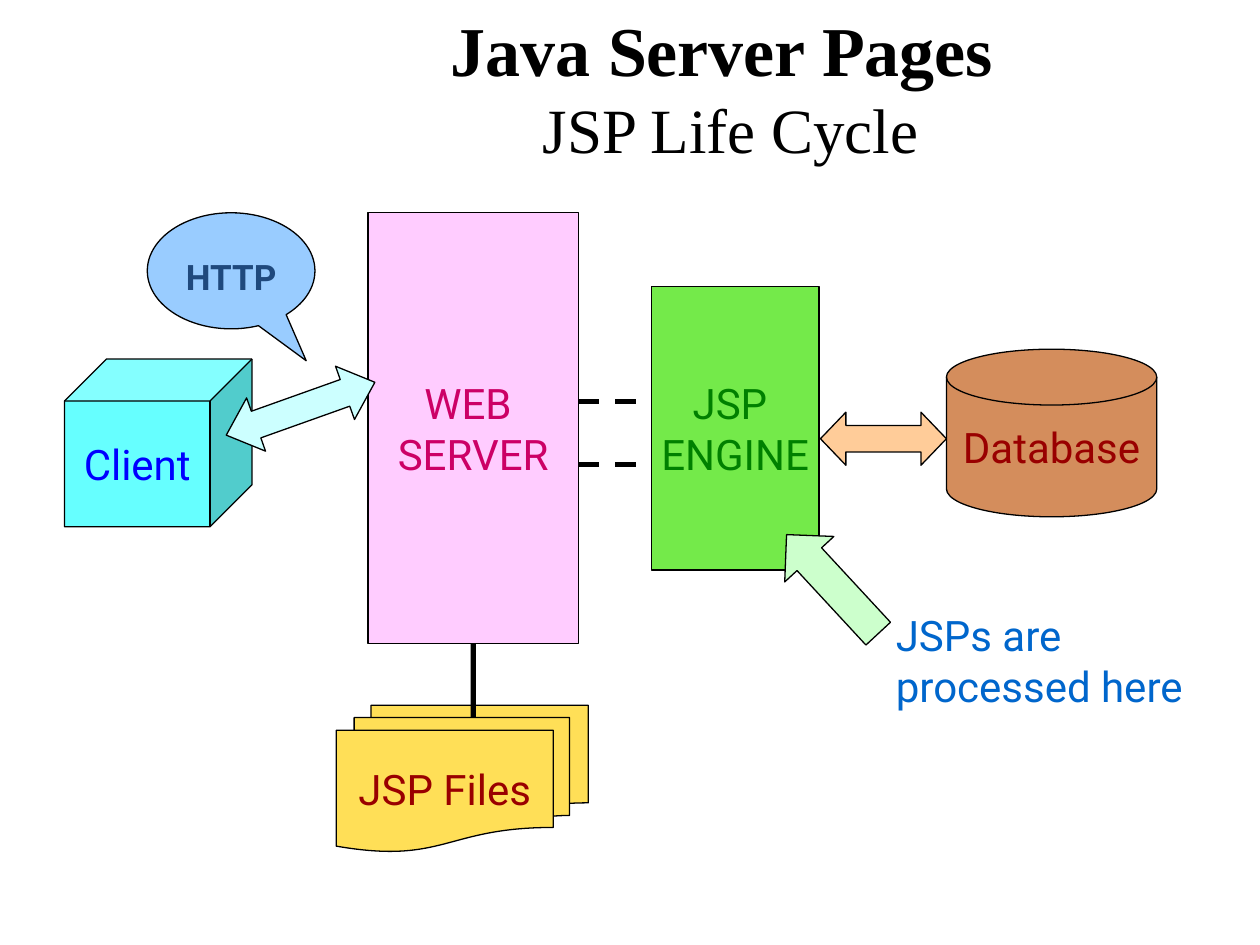
import dataclasses

import pptx
import pptx.dml.color
import pptx.enum.dml
import pptx.enum.shapes
import pptx.enum.text
import pptx.util
from lxml import etree

Cm = pptx.util.Cm
Pt = pptx.util.Pt
Kind = pptx.enum.shapes.MSO_SHAPE
Align = pptx.enum.text.PP_ALIGN
Anchor = pptx.enum.text.MSO_ANCHOR
DASH = pptx.enum.dml.MSO_LINE.DASH


@dataclasses.dataclass(frozen=True)
class Theme:
    font: str = "Roboto"
    serif: str = "Times New Roman"
    head: int = 40
    sub: int = 36
    body: int = 24
    small: int = 20
    thin: float = 0.75
    thick: float = 3
    ink: str = "000000"
    pink: str = "FFCCFF"
    rose: str = "CC0066"
    green: str = "74EA4A"
    leaf: str = "008000"
    brown: str = "D48D5C"
    red: str = "990000"
    cyan: str = "66FFFF"
    blue: str = "0000FF"
    gold: str = "FFDF57"
    sky: str = "99CCFF"
    navy: str = "1F497D"
    peach: str = "FFCC99"
    mint: str = "CCFFCC"
    ice: str = "CCFFFF"
    azure: str = "0066CC"


def rgb(code):
    return pptx.dml.color.RGBColor.from_string(code)


def write(para, text, *, font, size, color, bold=False):
    run = para.add_run()
    run.text = text
    run.font.name = font
    run.font.size = Pt(size)
    run.font.bold = bold
    run.font.color.rgb = rgb(color)


class Page:
    def __init__(self, deck, theme):
        self.theme = theme
        self.slide = deck.slides.add_slide(deck.slide_layouts[6])

    def shape(self, kind, box, fill, adjust=(), turn=0):
        item = self.slide.shapes.add_shape(kind, *map(Cm, box))
        item.shadow.inherit = False
        item.fill.solid()
        item.fill.fore_color.rgb = rgb(fill)
        item.line.color.rgb = rgb(self.theme.ink)
        item.line.width = Pt(self.theme.thin)
        for i, value in enumerate(adjust):
            item.adjustments[i] = value
        item.rotation = turn
        return item

    def label(self, item, *lines, color, size=None, bold=False, wrap=False):
        """Write centred lines into a shape, one paragraph each."""
        frame = item.text_frame
        frame.word_wrap = wrap
        frame.vertical_anchor = Anchor.MIDDLE
        for i, text in enumerate(lines):
            para = frame.add_paragraph() if i else frame.paragraphs[0]
            para.alignment = Align.CENTER
            write(para, text, font=self.theme.font, color=color,
                  size=size or self.theme.body, bold=bold)

    def text(self, box, align, anchor=Anchor.TOP):
        """Add a wrapping text box and return its first paragraph."""
        frame = self.slide.shapes.add_textbox(*map(Cm, box)).text_frame
        frame.word_wrap = True
        frame.vertical_anchor = anchor
        para = frame.paragraphs[0]
        para.alignment = align
        return para

    def line(self, start, end, dash=None):
        item = self.slide.shapes.add_connector(
            pptx.enum.shapes.MSO_CONNECTOR.STRAIGHT, *map(Cm, start + end))
        item.line.color.rgb = rgb(self.theme.ink)
        item.line.width = Pt(self.theme.thick)
        if dash:
            item.line.dash_style = dash
        props = item.line._get_or_add_ln().getparent()
        etree.SubElement(props, pptx.oxml.ns.qn("a:effectLst"))
        return item


def main():
    deck = pptx.Presentation()
    deck.slide_width, deck.slide_height = Cm(25.4), Cm(19.05)
    theme = Theme()
    page = Page(deck, theme)

    title = page.text((4.06, 0, 21.34, 3.48), Align.CENTER, Anchor.MIDDLE)
    write(title, "Java Server Pages ", font=theme.serif, size=theme.head,
          color=theme.ink, bold=True)
    title.add_line_break()
    write(title, "JSP Life Cycle", font=theme.serif, size=theme.sub,
          color=theme.ink)

    server = page.shape(Kind.RECTANGLE, (7.42, 4.29, 4.24, 8.69), theme.pink)
    page.label(server, "WEB ", "SERVER", color=theme.rose)
    engine = page.shape(Kind.RECTANGLE, (13.13, 5.77, 3.38, 5.72), theme.green)
    page.label(engine, "JSP ", "ENGINE", color=theme.leaf)
    store = page.shape(Kind.FLOWCHART_MAGNETIC_DISK,
                       (19.08, 7.04, 4.24, 3.38), theme.brown)
    page.label(store, "Database", color=theme.red)
    client = page.shape(Kind.CUBE, (1.3, 7.24, 3.78, 3.38), theme.cyan, [0.25])
    page.label(client, "Client", color=theme.blue)
    files = page.shape(Kind.FLOWCHART_MULTIDOCUMENT,
                       (6.78, 14.22, 5.08, 2.95), theme.gold)
    page.label(files, "JSP Files", color=theme.red)

    stem = page.line((9.54, 12.98), (9.54, 14.45))
    stem.begin_connect(server, 2)

    bubble = page.shape(Kind.OVAL_CALLOUT, (2.97, 4.29, 3.38, 2.34),
                        theme.sky, [0.448, 0.775])
    page.label(bubble, "HTTP", color=theme.navy, size=theme.small,
               bold=True, wrap=True)
    bubble.text_frame.vertical_anchor = Anchor.TOP
    bubble.text_frame.margin_top = Cm(0.51)

    for y in (8.1, 9.37):
        page.line((11.66, y), (13.13, y), DASH)

    page.shape(Kind.LEFT_RIGHT_ARROW, (16.54, 8.31, 2.54, 1.07),
               theme.peach, [0.5, 0.48])
    note = page.text((17.81, 12.17, 6.81, 2.29), Align.LEFT)
    write(note, "JSPs are processed here", font=theme.font, size=theme.body,
          color=theme.azure)
    page.shape(Kind.RIGHT_ARROW, (15.42, 11.1, 2.72, 1.35),
               theme.mint, [0.5, 0.5], 227.2)
    page.shape(Kind.LEFT_RIGHT_ARROW, (4.47, 7.67, 3.18, 1.14),
               theme.ice, [0.5, 0.56], 340.4)

    deck.save("out.pptx")


if __name__ == "__main__":
    main()
